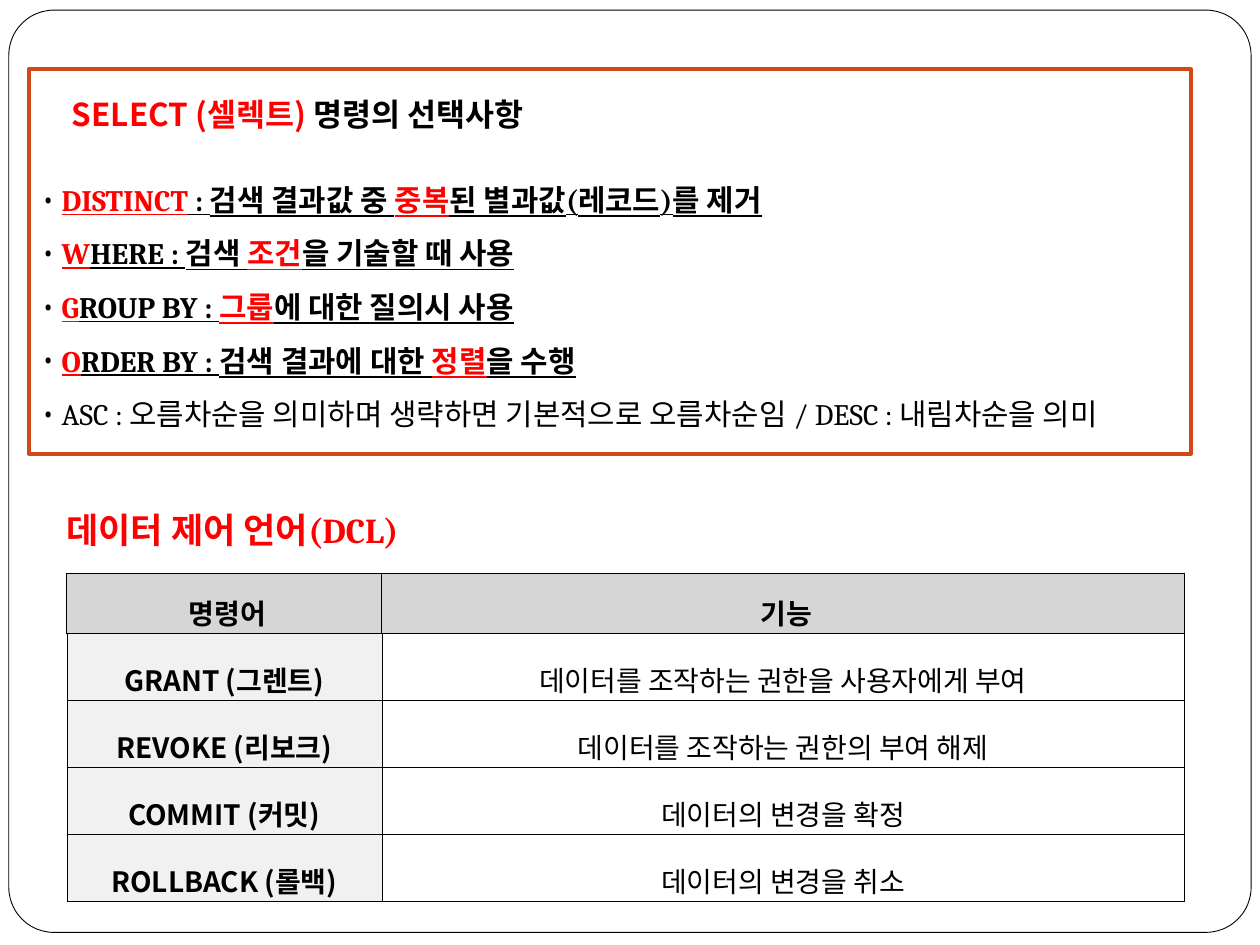
"""Builds a slide on SELECT options and the SQL data control language."""
from lxml.etree import SubElement
from pptx import Presentation
from pptx.dml.color import RGBColor
from pptx.enum.shapes import MSO_SHAPE
from pptx.enum.text import MSO_ANCHOR, MSO_AUTO_SIZE, PP_ALIGN
from pptx.oxml.ns import qn
from pptx.util import Inches, Pt

BLACK = RGBColor(0x00, 0x00, 0x00)
WHITE = RGBColor(0xFF, 0xFF, 0xFF)
RED = RGBColor(0xFF, 0x00, 0x00)
ORANGE = RGBColor(0xD3, 0x48, 0x17)
HEADER_GRAY = RGBColor(0xD6, 0xD6, 0xD6)
LABEL_GRAY = RGBColor(0xF1, 0xF1, 0xF1)
SERIF, HANGUL = "Cambria", "Noto Sans CJK KR"
COLUMNS, ROWS = 100, 75

HEADING = {"name": HANGUL, "size": Pt(18), "bold": True}
SECTION = {"name": SERIF, "size": Pt(20), "bold": True}
OPTION = {"name": SERIF, "size": Pt(17), "bold": True, "underline": True}
NOTE = {**OPTION, "bold": False, "underline": False}
LABEL = {"name": HANGUL, "size": Pt(16), "bold": True}
DETAIL = {**LABEL, "bold": False}


def apply(target, values):
    for key, value in values.items():
        setattr(target, key, value)


class SlideBuilder:
    """Holds the slide, its grid and the shared style."""

    def __init__(self, deck):
        self.slide = deck.slides.add_slide(deck.slide_layouts[1])
        self.column = deck.slide_width / COLUMNS
        self.row = deck.slide_height / ROWS

    def area(self, left, top, width, height):
        return (round(left * self.column), round(top * self.row),
                round(width * self.column), round(height * self.row))

    def add_runs(self, paragraph, pieces, style, **layout):
        apply(paragraph, {"space_before": Pt(0), **layout})
        for words, color in pieces:
            run = paragraph.add_run()
            run.text = words
            apply(run.font, style)
            run.font.color.rgb = color
            SubElement(run._r.get_or_add_rPr(), qn("a:ea"), typeface=HANGUL)

    def prepare(self, holder, grid, wrap=True):
        apply(holder, dict(zip(("left", "top", "width", "height"), self.area(*grid))))
        apply(holder.text_frame, {"word_wrap": wrap, "auto_size": MSO_AUTO_SIZE.NONE,
                                  "vertical_anchor": MSO_ANCHOR.TOP})
        return holder.text_frame

    def title(self, grid, pieces):
        frame = self.prepare(self.slide.shapes.title, grid, wrap=False)
        self.add_runs(frame.paragraphs[0], pieces, HEADING, alignment=PP_ALIGN.LEFT)

    def bullets(self, grid, items):
        frame = self.prepare(self.slide.placeholders[1], grid)
        for index, (pieces, style) in enumerate(items):
            paragraph = frame.add_paragraph() if index else frame.paragraphs[0]
            self.add_runs(paragraph, pieces, style, line_spacing=1.5)
            properties = paragraph._p.get_or_add_pPr()
            hang = Inches(0.16)
            properties.set("marL", str(int(hang)))
            properties.set("indent", str(-int(hang)))
            color = SubElement(properties, qn("a:buClr"))
            SubElement(color, qn("a:srgbClr"), val=str(BLACK))
            SubElement(properties, qn("a:buFont"), typeface=SERIF)
            SubElement(properties, qn("a:buChar"), char="•")

    def text(self, grid, pieces, style):
        box = self.slide.shapes.add_textbox(*self.area(*grid))
        self.add_runs(self.prepare(box, grid).paragraphs[0], pieces, style)

    def outline(self, kind, grid, color, weight, fill=None):
        shape = self.slide.shapes.add_shape(kind, *self.area(*grid))
        shape.shadow.inherit = False
        shape.line.width = Pt(weight)
        shape.line.color.rgb = color
        if fill is None:
            shape.fill.background()
        else:
            shape.fill.solid()
            shape.fill.fore_color.rgb = fill
        return shape

    def backdrop(self, grid):
        border = self.outline(MSO_SHAPE.ROUNDED_RECTANGLE, grid, BLACK, 0.5, WHITE)
        border.adjustments[0] = 0.049
        border.element.getparent().insert(2, border.element)

    def borders(self, cell, weights):
        properties = cell._tc.get_or_add_tcPr()
        for index, (side, weight) in enumerate(weights.items()):
            line = properties.makeelement(qn(f"a:ln{side}"), {"w": str(int(Pt(weight)))})
            fill = SubElement(line, qn("a:solidFill"))
            SubElement(fill, qn("a:srgbClr"), val=str(BLACK))
            properties.insert(index, line)

    def table(self, grid, widths, heights, records):
        table = self.slide.shapes.add_table(
            len(records), len(widths), *self.area(*grid)).table
        for column, width in zip(table.columns, widths):
            column.width = round(width * self.column)
        for row, height in zip(table.rows, heights):
            row.height = round(height * self.row)
        for r, record in enumerate(records):
            for c, words in enumerate(record):
                cell = table.cell(r, c)
                edge = Inches(0.01)
                apply(cell, {"margin_left": Inches(0.06) if r == 0 else edge,
                             "margin_right": edge, "margin_top": edge,
                             "margin_bottom": edge, "vertical_anchor": MSO_ANCHOR.MIDDLE})
                cell.fill.solid()
                cell.fill.fore_color.rgb = (
                    HEADER_GRAY if r == 0 else WHITE if c else LABEL_GRAY)
                self.add_runs(cell.text_frame.paragraphs[0], [(words, BLACK)],
                              DETAIL if r and c else LABEL, alignment=PP_ALIGN.CENTER,
                              line_spacing=1.6 if r else 1.43)
                outer = 0.28 if r else 0.85
                self.borders(cell, {"L": outer, "R": outer, "T": outer, "B": 0.28})


deck = Presentation()
deck.slide_width, deck.slide_height = Inches(10), Inches(7.5)
page = SlideBuilder(deck)
page.backdrop((0.7, 0.8, 98.6, 73.2))
page.title((4.7, 7, 40.3, 7.1),
           [("SELECT (셀렉트) ", RED), ("명령의 선택사항", BLACK)])
page.bullets((2.3, 12.5, 95.5, 22.5), [
    ([("DISTINCT", RED), (" : 검색 결과값 중 ", BLACK), ("중복", RED),
      ("된 별과값(레코드)를 제거", BLACK)], OPTION),
    ([("W", RED), ("HERE : 검색 ", BLACK), ("조건", RED),
      ("을 기술할 때 사용", BLACK)], OPTION),
    ([("G", RED), ("ROUP BY : ", BLACK), ("그룹", RED),
      ("에 대한 질의시 사용", BLACK)], OPTION),
    ([("O", RED), ("RDER BY : 검색 결과에 대한 ", BLACK), ("정렬", RED),
      ("을 수행", BLACK)], OPTION),
    ([("ASC : 오름차순을 의미하며 생략하면 기본적으로 오름차순임 "
       "/ DESC : 내림차순을 의미", BLACK)], NOTE),
])
page.outline(MSO_SHAPE.RECTANGLE, (2.3, 5.5, 92.2, 30.5), ORANGE, 2.25)
page.text((4.3, 39.9, 82.7, 4.4), [("데이터 제어 언어(DCL)", RED)], SECTION)
page.table((5.3, 45.5, 88.7, 24.6), (25, 63.7), (4.6, 5, 5, 5, 5), [
    ("명령어", "기능"),
    ("GRANT (그렌트)", "데이터를 조작하는 권한을 사용자에게 부여"),
    ("REVOKE (리보크)", "데이터를 조작하는 권한의 부여 해제"),
    ("COMMIT (커밋)", "데이터의 변경을 확정"),
    ("ROLLBACK (롤백)", "데이터의 변경을 취소"),
])
deck.save("out.pptx")
